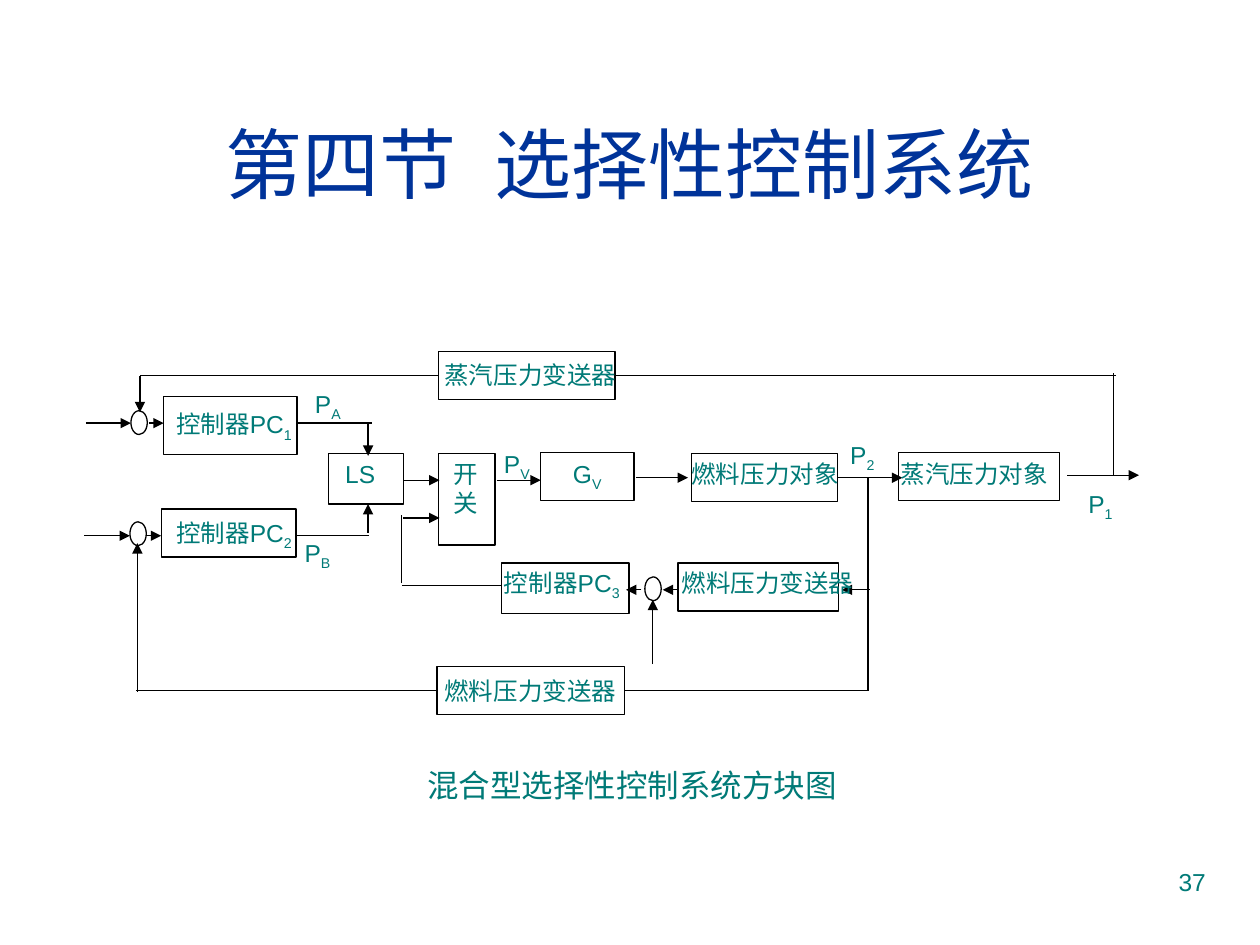
"""Build a slide with the block diagram of a hybrid selective control system."""
from dataclasses import dataclass

from lxml import etree
from pptx import Presentation
from pptx import util as u
from pptx.dml.color import RGBColor
from pptx.enum import shapes, text as t
from pptx.oxml import ns
from pptx.slide import Slide

BLACK = RGBColor(0x00, 0x00, 0x00)
WHITE = RGBColor(0xFF, 0xFF, 0xFF)
BLUE = RGBColor(0x00, 0x33, 0x99)
TEAL = RGBColor(0x00, 0x7A, 0x77)
FONT = "Arial"
LINE_WIDTH = u.Pt(0.75)


@dataclass(frozen=True)
class Frame:
    left: float
    top: float
    width: float
    height: float = 0.97

    def lengths(self) -> tuple[u.Cm, ...]:
        return tuple(u.Cm(v) for v in (self.left, self.top, self.width, self.height))


@dataclass(frozen=True)
class Label:
    text: str
    subscript: str
    frame: Frame


@dataclass(frozen=True)
class Wire:
    x1: float
    y1: float
    x2: float
    y2: float


BLOCKS = (
    Frame(3.3, 8, 2.69, 1.17),
    Frame(3.25, 10.26, 2.72),
    Frame(6.63, 9.14, 1.5, 1.02),
    Frame(8.84, 9.14, 1.14, 1.85),
    Frame(10.9, 9.12, 1.88),
    Frame(13.94, 9.14, 2.95),
    Frame(18.11, 9.12, 3.25),
    Frame(8.84, 7.09, 3.56),
    Frame(10.11, 11.35, 2.57, 1.02),
    Frame(13.67, 11.35, 3.23),
    Frame(8.81, 13.44, 3.78),
)

SUMMING_POINTS = tuple(
    Frame(left, top, 0.33, 0.48)
    for left, top in ((2.64, 8.28), (2.62, 10.52), (13, 11.63))
)

WIRES = (
    Wire(17.5, 9.63, 17.5, 13.92),
    Wire(22.45, 7.52, 22.45, 9.6),
    Wire(17.5, 13.92, 2.74, 13.92),
    Wire(5.97, 10.8, 7.44, 10.8),
    Wire(5.99, 8.53, 7.49, 8.53),
    Wire(22.5, 7.57, 2.82, 7.57),
    Wire(10.11, 11.81, 8.1, 11.81),
    Wire(8.1, 11.76, 8.1, 10.39),
)

ARROWS = (
    Wire(1.73, 8.53, 2.64, 8.53),
    Wire(3, 8.53, 3.3, 8.53),
    Wire(1.7, 10.8, 2.62, 10.8),
    Wire(2.95, 10.8, 3.25, 10.8),
    Wire(2.82, 7.57, 2.82, 8.31),
    Wire(2.77, 13.94, 2.77, 10.95),
    Wire(7.42, 8.53, 7.42, 9.19),
    Wire(7.42, 10.74, 7.42, 10.16),
    Wire(8.13, 9.68, 8.86, 9.68),
    Wire(8.13, 10.44, 8.86, 10.44),
    Wire(10.01, 9.68, 10.9, 9.68),
    Wire(12.83, 9.63, 13.87, 9.63),
    Wire(16.89, 9.63, 18.19, 9.63),
    Wire(21.51, 9.58, 22.96, 9.58),
    Wire(17.53, 11.89, 16.97, 11.89),
    Wire(13.67, 11.89, 13.36, 11.89),
    Wire(12.93, 11.89, 12.62, 11.89),
    Wire(13.16, 13.39, 13.16, 12.09),
)

LABELS = (
    Label("蒸汽压力变送器", "", Frame(8.71, 7.14, 3.99)),
    Label("控制器PC", "1", Frame(3.3, 8.13, 3)),
    Label("控制器PC", "2", Frame(3.3, 10.31, 3)),
    Label("控制器PC", "3", Frame(9.91, 11.33, 3.61)),
    Label("LS", "", Frame(6.71, 9.12, 1.4)),
    Label("开关", "", Frame(8.89, 9.12, 0.81, 1.45)),
    Label("G", "V", Frame(11.3, 9.12, 1.4)),
    Label("燃料压力对象", "", Frame(13.69, 9.12, 3.61)),
    Label("蒸汽压力对象", "", Frame(17.91, 9.12, 3.61)),
    Label("燃料压力变送器", "", Frame(13.49, 11.33, 3.99)),
    Label("燃料压力变送器", "", Frame(8.71, 13.51, 3.99)),
    Label("P", "A", Frame(6.1, 7.72, 1.4)),
    Label("P", "B", Frame(5.89, 10.72, 1.4)),
    Label("P", "V", Frame(9.91, 8.92, 1.4)),
    Label("P", "1", Frame(21.69, 9.73, 1.4)),
    Label("P", "2", Frame(16.89, 8.74, 1.4)),
)


def add_block(slide: Slide, kind: shapes.MSO_SHAPE, frame: Frame) -> None:
    shape = slide.shapes.add_shape(kind, *frame.lengths())
    shape.shadow.inherit = False
    shape.fill.solid()
    shape.fill.fore_color.rgb = WHITE
    shape.line.color.rgb = BLACK
    shape.line.width = LINE_WIDTH


def add_wire(slide: Slide, wire: Wire, *, arrow: bool = False) -> None:
    ends = (u.Cm(v) for v in (wire.x1, wire.y1, wire.x2, wire.y2))
    connector = slide.shapes.add_connector(shapes.MSO_CONNECTOR.STRAIGHT, *ends)
    connector.line.color.rgb = BLACK
    connector.line.width = LINE_WIDTH
    if arrow:
        line = connector.line._get_or_add_ln()
        etree.SubElement(line, ns.qn("a:tailEnd"), type="triangle")
    etree.SubElement(connector._element.spPr, ns.qn("a:effectLst"))


def add_text(slide: Slide, frame: Frame, text: str, *, subscript: str = "",
             size: float = 14, color: RGBColor = TEAL,
             align: t.PP_ALIGN = t.PP_ALIGN.LEFT,
             anchor: t.MSO_ANCHOR = t.MSO_ANCHOR.TOP, wrap: bool = True) -> None:
    text_frame = slide.shapes.add_textbox(*frame.lengths()).text_frame
    text_frame.word_wrap = wrap
    text_frame.vertical_anchor = anchor
    paragraph = text_frame.paragraphs[0]
    paragraph.alignment = align
    start, space, rest = text.partition(" ")
    pieces = ((start, {}), (space, {"spc": "1200"}), (rest, {}),
              (subscript, {"baseline": "-25000"}))
    for piece, attributes in pieces:
        if not piece:
            continue
        run = paragraph.add_run()
        run.text = piece
        run.font.name = FONT
        run.font.size = u.Pt(size)
        run.font.color.rgb = color
        for name, value in attributes.items():
            run._r.get_or_add_rPr().set(name, value)


def main() -> None:
    presentation = Presentation()
    presentation.slide_width = u.Cm(25.4)
    presentation.slide_height = u.Cm(19.05)
    slide = presentation.slides.add_slide(presentation.slide_layouts[6])

    add_text(slide, Frame(0.84, 1.7, 23.72, 3.18), "第四节 选择性控制系统", size=44,
             color=BLUE, align=t.PP_ALIGN.CENTER, anchor=t.MSO_ANCHOR.MIDDLE)
    for wire in WIRES:
        add_wire(slide, wire)
    for frame in BLOCKS:
        add_block(slide, shapes.MSO_SHAPE.RECTANGLE, frame)
    for frame in SUMMING_POINTS:
        add_block(slide, shapes.MSO_SHAPE.OVAL, frame)
    for arrow in ARROWS:
        add_wire(slide, arrow, arrow=True)
    for label in LABELS:
        add_text(slide, label.frame, label.text, subscript=label.subscript)
    add_text(slide, Frame(8.36, 15.32, 8.76, 1.02), "混合型选择性控制系统方块图",
             size=18, wrap=False)
    add_text(slide, Frame(18.21, 17.35, 6.35, 1.32), "37", align=t.PP_ALIGN.RIGHT)
    presentation.save("out.pptx")


if __name__ == "__main__":
    main()
